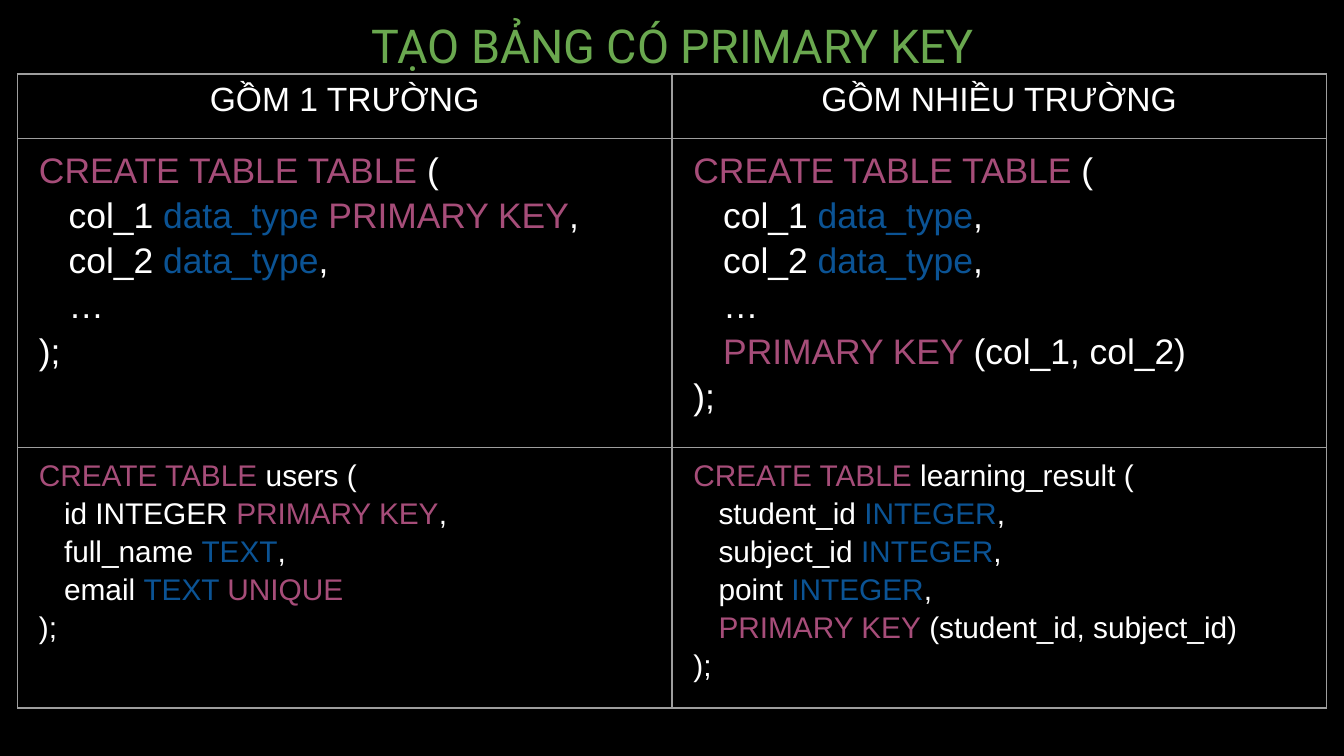
from dataclasses import dataclass
from typing import NamedTuple

from lxml.etree import SubElement
from pptx import Presentation
from pptx.dml.color import RGBColor as Rgb
from pptx.enum.text import MSO_ANCHOR as Anchor, PP_ALIGN as Align
from pptx.oxml.ns import qn
from pptx.util import Inches, Pt

COLORS = {
    "background": "000000",
    "title": "6AA84F",
    "plain": "FFFFFF",
    "keyword": "A64D79",
    "datatype": "0B5394",
    "border": "9E9E9E",
}
SLIDE_W = 10
SLIDE_H = SLIDE_W * 9 / 16
COLUMN_W = 4.87
ROW_HEIGHTS = (0.48, 2.3, 1.9)
TABLE_H = 4.58
BORDER_PT = 0.74
CODE_MARGIN = 0.06
SPACE_EM = 0.28  # width of one space as a share of the text size


class Token(NamedTuple):
    """A piece of code with its colour role."""
    text: str
    role: str = "plain"


@dataclass
class Line:
    """One line of code; nested lines stand three spaces in."""
    tokens: tuple[Token, ...]
    nested: bool = True


@dataclass
class Snippet:
    """The code in one table cell."""
    row: int
    column: int
    size: int
    lines: list[Line]


def keyword(text: str) -> Token:
    """Mark a SQL keyword."""
    return Token(text, "keyword")


def field(name: str, datatype: str, *rest: Token) -> Line:
    """Build a column definition, ending in a comma unless told otherwise."""
    return Line((Token(name + " "), Token(datatype, "datatype"), *(rest or (Token(","),))))


def statement(opening: str, table: str, body: list[Line]) -> list[Line]:
    """Wrap column definitions in a CREATE TABLE statement."""
    head = Line((keyword(opening), Token(table + " (")), nested=False)
    return [head, *body, Line((Token(");"),), nested=False)]


def composite_key(columns: str) -> Line:
    """Build a key clause over several columns."""
    return Line((keyword("PRIMARY KEY"), Token(f" ({columns})")))


def add_text(paragraph, text: str, *, size: float, color: str = "plain",
             font: str = "Arial", align: Align | None = None) -> None:
    """Append a formatted run to a paragraph."""
    run = paragraph.add_run()
    run.text = text
    run.font.size = Pt(size)
    run.font.name = font
    run.font.color.rgb = Rgb.from_string(COLORS[color])
    if align is not None:
        paragraph.alignment = align


def format_cell(cell) -> None:
    """Clear a cell's fill and give it four thin borders."""
    cell.fill.background()
    properties = cell._tc.get_or_add_tcPr()
    for position, side in enumerate(("lnL", "lnR", "lnT", "lnB")):
        border = SubElement(properties, qn(f"a:{side}"), w=str(Pt(BORDER_PT)))
        fill = SubElement(border, qn("a:solidFill"))
        SubElement(fill, qn("a:srgbClr"), val=COLORS["border"])
        properties.insert(position, border)


def write_snippet(table, snippet: Snippet) -> None:
    """Write code into its cell, one paragraph per line."""
    frame = table.cell(snippet.row, snippet.column).text_frame
    for number, line in enumerate(snippet.lines):
        paragraph = frame.add_paragraph() if number else frame.paragraphs[0]
        paragraph.line_spacing = 1.15
        step = 3 * SPACE_EM * snippet.size / 72 if line.nested else 0
        layout = paragraph._p.get_or_add_pPr()
        layout.set("marL", str(Inches(CODE_MARGIN + step)))
        layout.set("indent", "0")
        for token in line.tokens:
            add_text(paragraph, token.text, size=snippet.size, color=token.role)


def add_title(slide, text: str) -> None:
    """Add the centred heading."""
    box = slide.shapes.add_textbox(Inches(1.46), Inches(0.07), Inches(7.09), Inches(0.52))
    frame = box.text_frame
    frame.word_wrap = True
    frame.vertical_anchor = Anchor.MIDDLE
    frame.margin_top = frame.margin_bottom = Inches(0.1)
    add_text(frame.paragraphs[0], text, size=25, color="title", font="Roboto",
             align=Align.CENTER)


def add_comparison(slide, headings: tuple[str, ...], snippets: list[Snippet]) -> None:
    """Add the table that sets single and composite keys side by side."""
    width = COLUMN_W * len(headings)
    holder = slide.shapes.add_table(
        len(ROW_HEIGHTS), len(headings), Inches((SLIDE_W - width) / 2), Inches(0.55),
        Inches(width), Inches(TABLE_H))
    table = holder.table
    table.first_row = table.horz_banding = False
    for row, height in zip(table.rows, ROW_HEIGHTS):
        row.height = Inches(height)
    holder.height = Inches(TABLE_H)
    for cell in table.iter_cells():
        format_cell(cell)
    for column, heading in enumerate(headings):
        table.columns[column].width = Inches(COLUMN_W)
        add_text(table.cell(0, column).text_frame.paragraphs[0], heading, size=18,
                 align=Align.CENTER)
    for snippet in snippets:
        write_snippet(table, snippet)


ELLIPSIS = Line((Token("…"),))
SNIPPETS = [
    Snippet(1, 0, 19, statement("CREATE TABLE TABLE", "", [
        field("col_1", "data_type ", keyword("PRIMARY KEY"), Token(",")),
        field("col_2", "data_type"),
        ELLIPSIS,
    ])),
    Snippet(1, 1, 19, statement("CREATE TABLE TABLE", "", [
        field("col_1", "data_type"),
        field("col_2", "data_type"),
        ELLIPSIS,
        composite_key("col_1, col_2"),
    ])),
    Snippet(2, 0, 16, statement("CREATE TABLE", " users", [
        Line((Token("id INTEGER "), keyword("PRIMARY KEY"), Token(","))),
        field("full_name", "TEXT"),
        field("email", "TEXT ", keyword("UNIQUE")),
    ])),
    Snippet(2, 1, 16, statement("CREATE TABLE", " learning_result", [
        field("student_id", "INTEGER"),
        field("subject_id", "INTEGER"),
        field("point", "INTEGER"),
        composite_key("student_id, subject_id"),
    ])),
]

deck = Presentation()
deck.slide_width, deck.slide_height = Inches(SLIDE_W), Inches(SLIDE_H)
key_slide = deck.slides.add_slide(deck.slide_layouts[6])
backdrop = key_slide.background.fill
backdrop.solid()
backdrop.fore_color.rgb = Rgb.from_string(COLORS["background"])
add_title(key_slide, "TẠO BẢNG CÓ PRIMARY KEY")
add_comparison(key_slide, ("GỒM 1 TRƯỜNG", "GỒM NHIỀU TRƯỜNG"), SNIPPETS)
deck.save("out.pptx")
